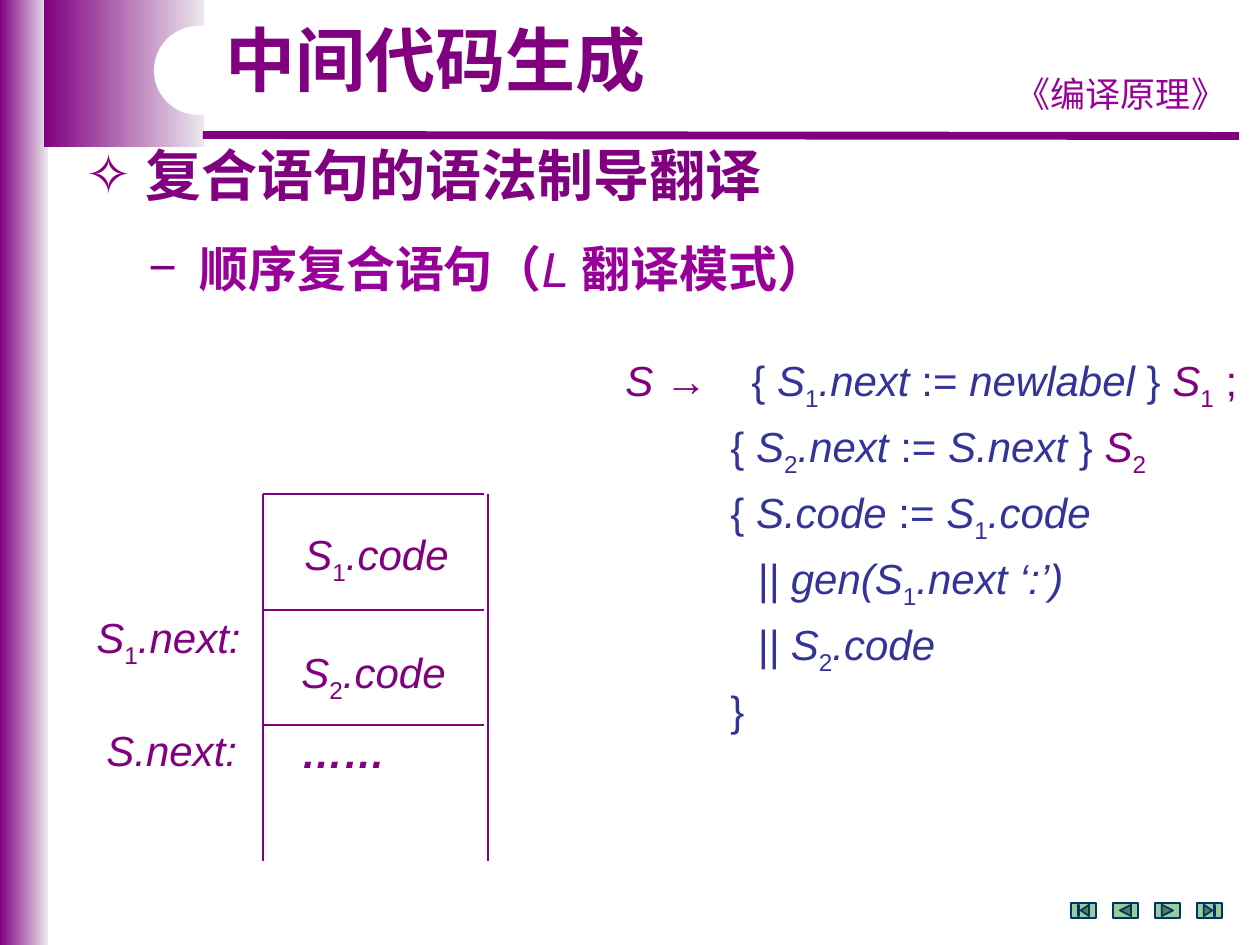
import pptx
import pptx.dml.color
import pptx.enum.shapes
import pptx.enum.text
import pptx.oxml.ns
import pptx.util
from lxml import etree

RGBColor = pptx.dml.color.RGBColor
SHAPES = pptx.enum.shapes.MSO_SHAPE
ALIGN = pptx.enum.text.PP_ALIGN
qn = pptx.oxml.ns.qn

PURPLE = RGBColor(0x80, 0x00, 0x80)
PALE = RGBColor(0xED, 0xE7, 0xED)
MAGENTA = RGBColor(0x99, 0x00, 0x99)
INDIGO = RGBColor(0x33, 0x33, 0x99)
WHITE = RGBColor(0xFF, 0xFF, 0xFF)
GREEN = RGBColor(0x99, 0xCC, 0x99)
NAVY = RGBColor(0x00, 0x33, 0x66)

PX_PER_INCH = 126
INSET = 13


def px(length):
    return pptx.util.Emu(round(length * 914400 / PX_PER_INCH))


def add_shape(slide, kind, box, fill=None, line=None):
    """Add a flat preset shape; without a fill colour it gets the purple fade."""
    shape = slide.shapes.add_shape(kind, *map(px, box))
    shape.shadow.inherit = False
    if fill is None:
        shape.fill.gradient()
        shape.fill.gradient_angle = 0
        for stop, color in zip(shape.fill.gradient_stops, (PURPLE, PALE)):
            stop.color.rgb = color
    else:
        shape.fill.solid()
        shape.fill.fore_color.rgb = fill
    if line is None:
        shape.line.fill.background()
    else:
        shape.line.color.rgb = line
        shape.line.width = pptx.util.Pt(1)
    return shape


def add_line(slide, start, end, width):
    line = slide.shapes.add_connector(
        pptx.enum.shapes.MSO_CONNECTOR.STRAIGHT, *map(px, start + end))
    line.line.color.rgb = PURPLE
    line.line.width = pptx.util.Pt(width)
    etree.SubElement(line.element.spPr, qn("a:effectLst"))


def add_text_box(slide, box, wrap=True, top_inset=0):
    frame = slide.shapes.add_textbox(*map(px, box)).text_frame
    frame.word_wrap = wrap
    frame.margin_top = px(top_inset)
    return frame


def set_font(paragraph, size, color, name="Arial"):
    paragraph.font.size = pptx.util.Pt(size)
    paragraph.font.name = name
    paragraph.font.color.rgb = color


def add_runs(paragraph, runs):
    """Add (text, style) runs: b bold, i italic, s subscript, p purple."""
    for text, style in runs:
        run = paragraph.add_run()
        run.text = text
        if "b" in style:
            run.font.bold = True
        if "i" in style:
            run.font.italic = True
        if "p" in style:
            run.font.color.rgb = PURPLE
        if "s" in style:
            run._r.get_or_add_rPr().set("baseline", "-25000")


def set_indent(paragraph, left, first=0):
    properties = paragraph._p.get_or_add_pPr()
    properties.set("marL", str(px(left)))
    properties.set("indent", str(px(first)))
    return properties


def add_bullet(paragraph, character, hang):
    properties = set_indent(paragraph, hang, -hang)
    color = etree.SubElement(properties, qn("a:buClr"))
    etree.SubElement(color, qn("a:srgbClr"), val=str(PURPLE))
    etree.SubElement(properties, qn("a:buFont"), typeface="Arial")
    etree.SubElement(properties, qn("a:buChar"), char=character)


def add_tab_stop(paragraph, position):
    tabs = etree.SubElement(paragraph._p.get_or_add_pPr(), qn("a:tabLst"))
    etree.SubElement(tabs, qn("a:tab"), pos=str(px(position)), algn="l")


def add_frame(slide, width, height):
    add_shape(slide, SHAPES.RECTANGLE, (0, 0, 48, height))
    add_shape(slide, SHAPES.RECTANGLE, (44, 0, 160, 147))
    add_line(slide, (203, 135), (width - 21, 136), 4.5)
    course = add_text_box(slide, (997, 66, 248, 54), top_inset=6).paragraphs[0]
    course.alignment = ALIGN.CENTER
    set_font(course, 20, MAGENTA, "Noto Sans CJK SC")
    add_runs(course, [("《编译原理》", "")])
    pill = add_shape(slide, SHAPES.ROUNDED_RECTANGLE, (154, 26, 456, 89), WHITE)
    pill.adjustments[0] = 0.5


def add_title(slide, box):
    title = slide.shapes.title
    title.left, title.top, title.width, title.height = map(px, box)
    slide.shapes.element.append(title.element)  # bring in front of the pill
    frame = title.text_frame
    frame.margin_top = 0
    frame.vertical_anchor = pptx.enum.text.MSO_ANCHOR.TOP
    frame.text = "中间代码生成"
    paragraph = frame.paragraphs[0]
    paragraph.alignment = ALIGN.LEFT
    paragraph.line_spacing = 0.9
    set_font(paragraph, 40, PURPLE)
    paragraph.font.bold = True


def add_heading(slide, box):
    paragraph = add_text_box(slide, box).paragraphs[0]
    add_bullet(paragraph, "✧", 60)
    set_font(paragraph, 32, PURPLE)
    add_runs(paragraph, [("复合语句的语法制导翻译", "b")])


def add_translation_scheme(slide, box):
    frame = add_text_box(slide, box)
    subtitle = frame.paragraphs[0]
    add_bullet(subtitle, "−", 51)
    set_font(subtitle, 28, MAGENTA)
    add_runs(subtitle, [("顺序复合语句（", "b"), ("L ", "i"), ("翻译模式）", "b")])

    production, action, operand = 477, 582, 609
    rules = [
        (production, [("S ", "ip"), ("→", "p"), ("\t{ ", ""), ("S", "i"), ("1", "s"),
                      (".next ", "i"), (":= ", ""), ("newlabel", "i"), (" } ", ""),
                      ("S", "ip"), ("1", "sp"), (" ;", "p")]),
        (action, [("{ ", ""), ("S", "i"), ("2", "s"), (".next ", "i"), (":= ", ""),
                  ("S.next", "i"), (" } ", ""), ("S", "ip"), ("2", "sp")]),
        (action, [("{ ", ""), ("S.code ", "i"), (":=", ""), (" S", "i"), ("1", "s"),
                  (".code", "i")]),
        (operand, [("|| gen(S", "i"), ("1", "s"), (".next ‘:’)", "i")]),
        (operand, [("|| S", "i"), ("2", "s"), (".code", "i")]),
        (action, [("}", "")]),
    ]
    for left, runs in rules:
        paragraph = frame.add_paragraph()
        set_indent(paragraph, left)
        if left == production:
            add_tab_stop(paragraph, action)
        paragraph.space_before = pptx.util.Pt(33 if left == production else 5)
        set_font(paragraph, 24, INDIGO)
        add_runs(paragraph, runs)


def add_code_layout(slide, box):
    """Draw the open-ended code column with its labels."""
    left, top, width, height = box
    for x in (left, left + width):
        add_line(slide, (x, top), (x, top + height), 0.75)
    for row in range(3):
        y = top + round(row * 115.5)
        add_line(slide, (left, y), (left + width - 4, y), 0.75)

    labels = [
        (29, 29, 173, [("S", "i"), ("1", "s"), (".code", "i")]),
        (26, 147, 173, [("S", "i"), ("2", "s"), (".code", "i")]),
        (26, 227, 110, [("……", "bi")]),
        (-179, 112, 173, [("S", "i"), ("1", "s"), (".next:", "i")]),
        (-169, 225, 158, [("S.next:", "i")]),
    ]
    for x, y, label_width, runs in labels:
        label_box = (left + x, top + y, label_width, 63)
        paragraph = add_text_box(slide, label_box, False, 6).paragraphs[0]
        set_font(paragraph, 24, PURPLE)
        add_runs(paragraph, runs)


def add_navigation(slide, left, top):
    kinds = (SHAPES.ACTION_BUTTON_BEGINNING, SHAPES.ACTION_BUTTON_BACK_OR_PREVIOUS,
             SHAPES.ACTION_BUTTON_FORWARD_OR_NEXT, SHAPES.ACTION_BUTTON_END)
    for index, kind in enumerate(kinds):
        add_shape(slide, kind, (left + 42 * index, top, 25, 15), GREEN, NAVY)


def main():
    width, height = 1260, 945
    presentation = pptx.Presentation()
    presentation.slide_width, presentation.slide_height = px(width), px(height)
    slide = presentation.slides.add_slide(presentation.slide_layouts[5])
    add_frame(slide, width, height)
    add_title(slide, (213, 26, 449, 88))
    add_heading(slide, (73, 141, 1144, 79))
    add_translation_scheme(slide, (136, 238, 1124, 437))
    add_navigation(slide, 1071, 903)
    add_code_layout(slide, (263, 494, 225, 367))
    presentation.save("out.pptx")


if __name__ == "__main__":
    main()
